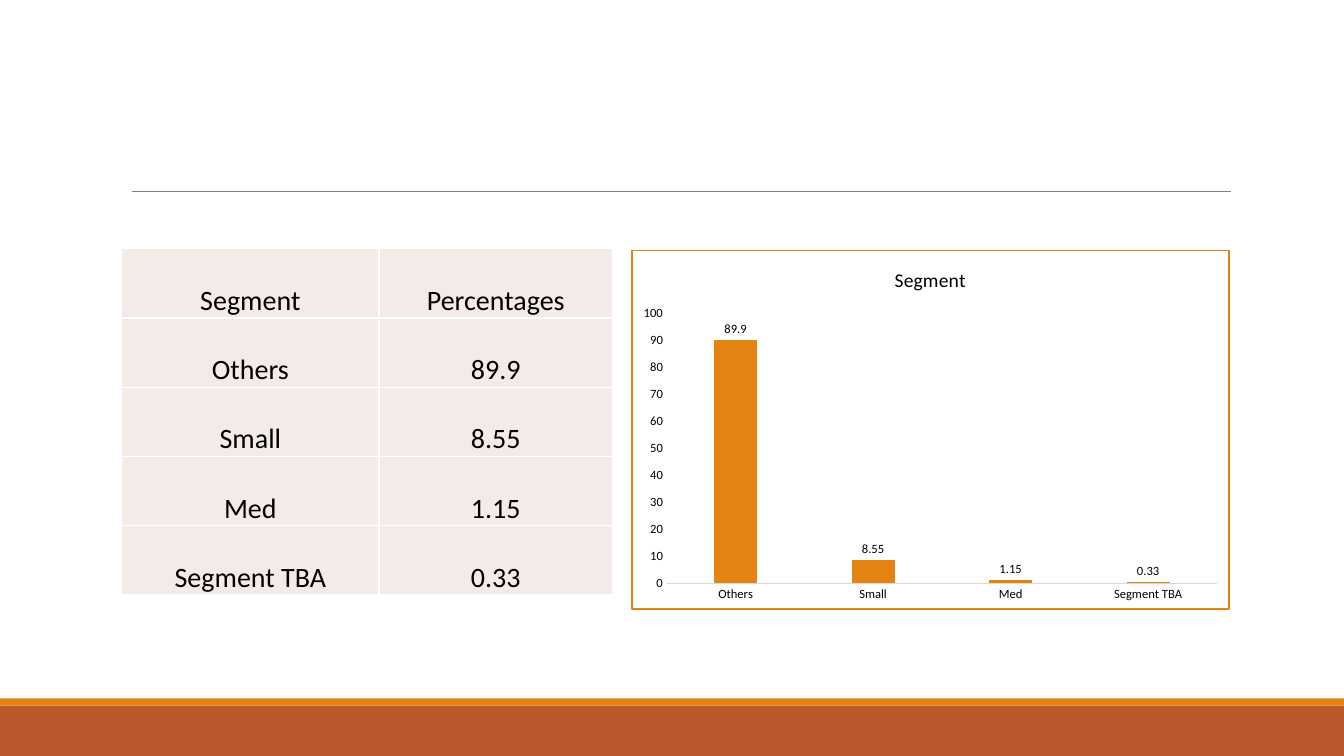
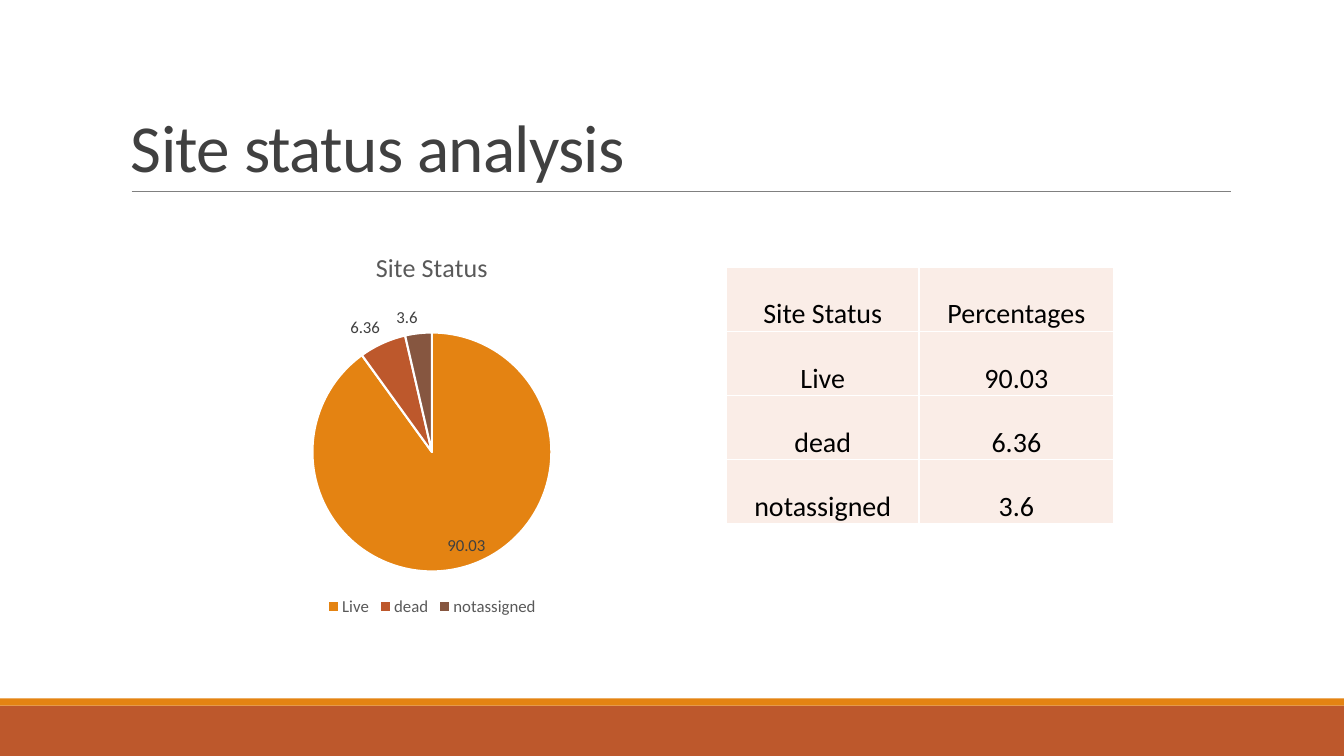
"""Builds two slides, each pairing a percentage table with a chart."""
from dataclasses import dataclass

from lxml import etree
from pptx import Presentation
from pptx import util as u
from pptx.chart.chart import Chart
from pptx.chart.data import CategoryChartData
from pptx.dml.color import RGBColor
from pptx.enum import chart as charts, shapes, text
from pptx.oxml import parse_xml
from pptx.oxml.ns import nsdecls, qn
from pptx.slide import Slide
from pptx.text.text import Font

FONT = "Calibri"
COLORS = {
    "rust": "BD582C", "orange": "E48312", "brown": "865640",
    "rule": "808080", "axis": "D9D9D9", "white": "FFFFFF", "black": "000000",
    "title": "404040", "muted": "595959", "rose": "F4EAE8", "peach": "FAEDE7",
}


@dataclass(frozen=True)
class Box:
    left: float
    top: float
    width: float
    height: float

    def lengths(self) -> list[u.Length]:
        return [u.Cm(value) for value in (self.left, self.top, self.width, self.height)]


@dataclass(frozen=True)
class Band:
    box: Box
    color: str


@dataclass(frozen=True)
class Breakdown:
    heading: str
    values: dict[str, float]
    table_box: Box
    first_column: float
    cell_color: str
    chart_box: Box


BANDS = (
    Band(Box(0, 17.78, 33.87, 1.27), "rust"),
    Band(Box(0, 17.6, 33.87, 0.18), "orange"),
)
RULE = Box(3.32, 4.83, 27.69, 0)
TITLE = Box(3.05, 0.79, 27.94, 4.04)

SEGMENTS = Breakdown(
    "Segment", {"Others": 89.9, "Small": 8.55, "Med": 1.15, "Segment TBA": 0.33},
    Box(3.07, 6.27, 12.37, 8.72), 6.48, "rose", Box(15.9, 6.29, 15.09, 9.08),
)
SITES = Breakdown(
    "Site Status", {"Live": 90.03, "dead": 6.36, "notassigned": 3.6},
    Box(18.31, 6.74, 9.76, 6.46), 4.85, "peach", Box(2.67, 5.84, 16.43, 9.8),
)


def rgb(name: str) -> RGBColor:
    return RGBColor.from_string(COLORS[name])


def style_font(font: Font, size: float, color: str) -> None:
    font.name, font.size, font.bold = FONT, u.Pt(size), False
    font.color.rgb = rgb(color)


def add_base(presentation: Presentation) -> Slide:
    slide = presentation.slides.add_slide(presentation.slide_layouts[6])
    for band in BANDS:
        shape = slide.shapes.add_shape(shapes.MSO_SHAPE.RECTANGLE, *band.box.lengths())
        shape.shadow.inherit = False
        shape.fill.solid()
        shape.fill.fore_color.rgb = rgb(band.color)
        shape.line.fill.background()
    left, top, width, _ = RULE.lengths()
    rule = slide.shapes.add_connector(
        shapes.MSO_CONNECTOR.STRAIGHT, left, top, left + width, top)
    rule.line.color.rgb = rgb("rule")
    rule.line.width = u.Pt(0.5)
    etree.SubElement(rule.element.spPr, qn("a:effectLst"))
    return slide


def add_title(slide: Slide, title: str) -> None:
    box = slide.shapes.add_textbox(*TITLE.lengths())
    frame = box.text_frame
    frame.word_wrap = True
    frame.vertical_anchor = text.MSO_ANCHOR.BOTTOM
    paragraph = frame.paragraphs[0]
    paragraph.text = title
    paragraph.line_spacing = 0.85
    style_font(paragraph.font, 48, "title")
    for properties in box.element.iter(qn("a:defRPr")):
        properties.set("spc", "-50")


def line_xml(tag: str, color: str, width: float) -> str:
    return (f'<{tag} {nsdecls("a")} w="{int(u.Pt(width))}"><a:solidFill>'
            f'<a:srgbClr val="{COLORS[color]}"/></a:solidFill></{tag}>')


def add_table(slide: Slide, data: Breakdown) -> None:
    rows = [(data.heading, "Percentages"), *data.values.items()]
    box = data.table_box
    table = slide.shapes.add_table(len(rows), 2, *box.lengths()).table
    table.first_row = table.horz_banding = False
    table.columns[0].width = u.Cm(data.first_column)
    table.columns[1].width = u.Cm(box.width - data.first_column)
    for row_index, row in enumerate(rows):
        for column_index, value in enumerate(row):
            cell = table.cell(row_index, column_index)
            cell.vertical_anchor = text.MSO_ANCHOR.BOTTOM
            cell.margin_left = cell.margin_right = cell.margin_top = u.Cm(0.03)
            cell.margin_bottom = 0
            for side in "LRTB":
                cell._tc.get_or_add_tcPr().append(
                    parse_xml(line_xml(f"a:ln{side}", "white", 1)))
            cell.fill.solid()
            cell.fill.fore_color.rgb = rgb(data.cell_color)
            paragraph = cell.text_frame.paragraphs[0]
            paragraph.text = str(value)
            paragraph.alignment = text.PP_ALIGN.CENTER
            style_font(paragraph.font, 20, "black")


def add_chart(slide: Slide, data: Breakdown, kind: charts.XL_CHART_TYPE,
              title_size: float, title_color: str, label_size: float,
              label_color: str, label_position: charts.XL_LABEL_POSITION,
              border: str = "") -> Chart:
    chart_data = CategoryChartData()
    chart_data.categories = list(data.values)
    chart_data.add_series("Series 1", list(data.values.values()))
    chart = slide.shapes.add_chart(kind, *data.chart_box.lengths(), chart_data).chart
    style_font(chart.font, 10, "black")
    chart.has_title = True
    paragraph = chart.chart_title.text_frame.paragraphs[0]
    paragraph.text = data.heading
    style_font(paragraph.font, title_size, title_color)
    chart.chart_title.include_in_layout = False

    plot = chart.plots[0]
    plot.has_data_labels = True
    labels = plot.data_labels
    labels.show_value = True
    labels.show_percentage = False
    labels.number_format, labels.number_format_is_linked = "General", False
    labels.position = label_position
    style_font(labels.font, label_size, label_color)

    outline = line_xml("a:ln", border, 1.25) if border else "<a:ln><a:noFill/></a:ln>"
    body = chart.element.find(qn("c:chart"))
    body.addnext(parse_xml(
        f'<c:spPr {nsdecls("c", "a")}><a:solidFill><a:srgbClr val="{COLORS["white"]}"/>'
        f"</a:solidFill>{outline}</c:spPr>"))
    if chart.element.find(qn("c:roundedCorners")) is None:
        body.addprevious(parse_xml(f'<c:roundedCorners {nsdecls("c")} val="0"/>'))
    return chart


def add_column_chart(slide: Slide, data: Breakdown) -> None:
    chart = add_chart(slide, data, charts.XL_CHART_TYPE.COLUMN_CLUSTERED, 14, "black",
                      9, "black", charts.XL_LABEL_POSITION.OUTSIDE_END, "orange")
    chart.has_legend = False
    plot = chart.plots[0]
    plot.vary_by_categories = False
    plot.gap_width, plot.overlap = 219, -27
    fill = plot.series[0].format.fill
    fill.solid()
    fill.fore_color.rgb = rgb("orange")
    for axis in (chart.category_axis, chart.value_axis):
        axis.has_major_gridlines = False
        axis.major_tick_mark = axis.minor_tick_mark = charts.XL_TICK_MARK.NONE
        style_font(axis.tick_labels.font, 9, "black")
    chart.category_axis.format.line.color.rgb = rgb("axis")
    chart.category_axis.format.line.width = u.Pt(0.75)
    chart.value_axis.format.line.fill.background()
    chart.value_axis.minimum_scale, chart.value_axis.maximum_scale = 0, 100
    chart.value_axis.major_unit = 10


def add_pie_chart(slide: Slide, data: Breakdown) -> None:
    chart = add_chart(slide, data, charts.XL_CHART_TYPE.PIE, 18.6, "muted",
                      12, "title", charts.XL_LABEL_POSITION.BEST_FIT)
    chart.has_legend = True
    chart.legend.position = charts.XL_LEGEND_POSITION.BOTTOM
    chart.legend.include_in_layout = False
    style_font(chart.legend.font, 12, "muted")
    plot = chart.plots[0]
    plot.vary_by_categories = True
    for index, color in enumerate(("orange", "rust", "brown")):
        wedge = plot.series[0].points[index].format
        wedge.fill.solid()
        wedge.fill.fore_color.rgb = rgb(color)
        wedge.line.color.rgb = rgb("white")
        wedge.line.width = u.Pt(1.5)


def main() -> None:
    presentation = Presentation()
    presentation.slide_width, presentation.slide_height = u.Cm(33.87), u.Cm(19.05)

    segment_slide = add_base(presentation)
    add_table(segment_slide, SEGMENTS)
    add_column_chart(segment_slide, SEGMENTS)

    site_slide = add_base(presentation)
    add_title(site_slide, "Site status analysis")
    add_pie_chart(site_slide, SITES)
    add_table(site_slide, SITES)

    presentation.save("out.pptx")


if __name__ == "__main__":
    main()
